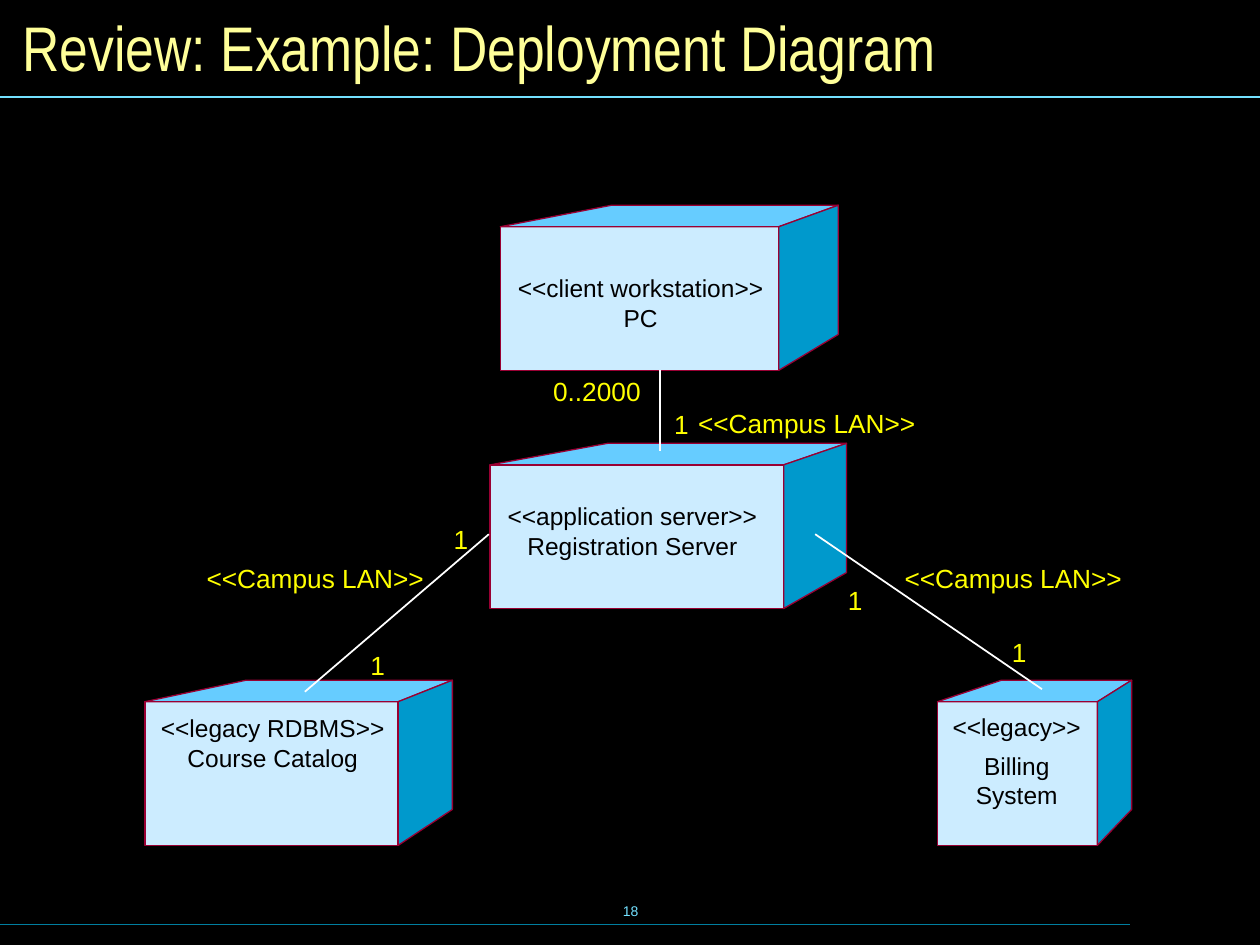
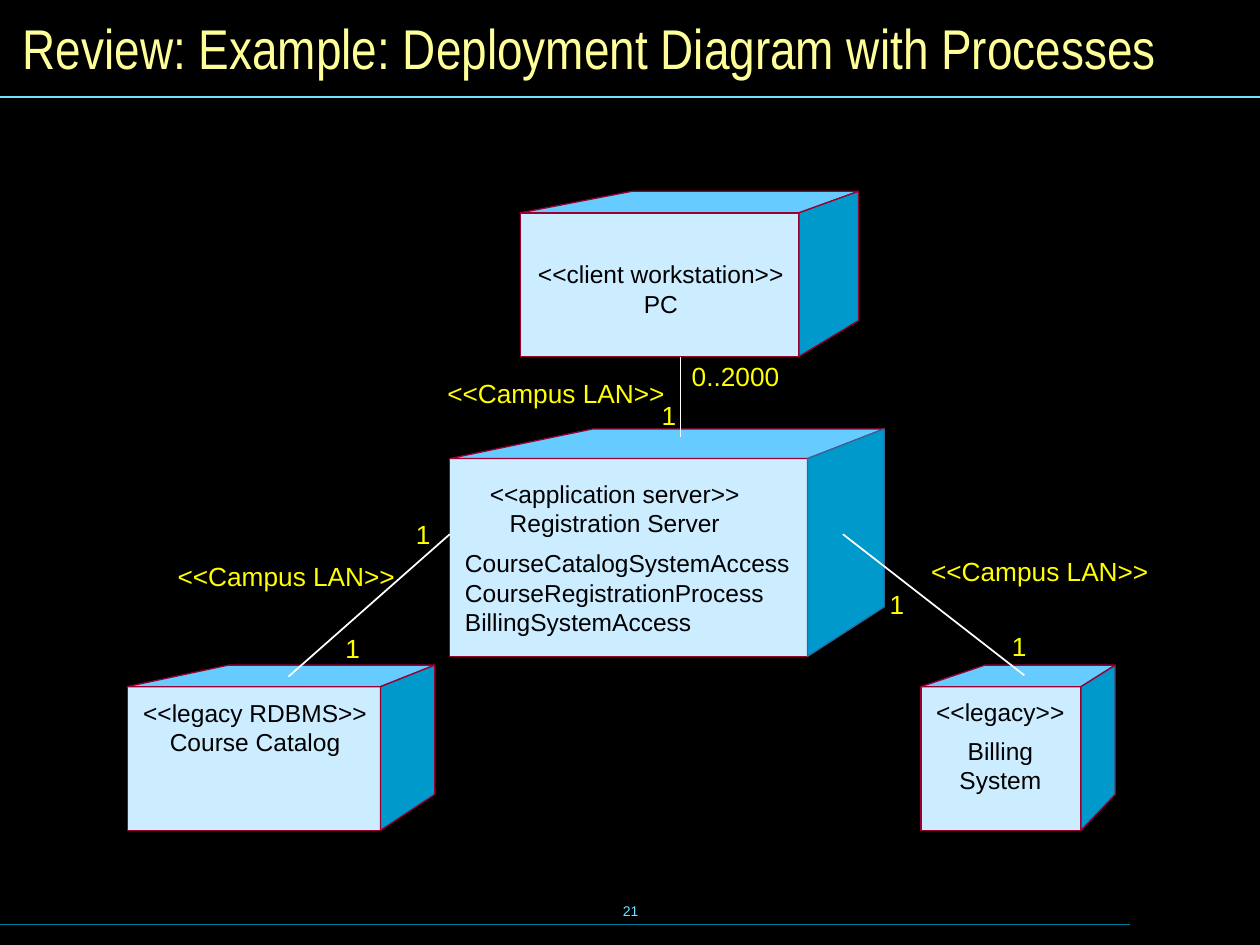
from lxml import etree
from pptx import Presentation
from pptx.dml.color import RGBColor
from pptx.enum import text
from pptx.enum.shapes import MSO_CONNECTOR, MSO_SHAPE
from pptx.oxml.ns import qn
from pptx.util import Inches, Pt

BLACK, WHITE = "000000", "FFFFFF"
TITLE, LABEL = "FFFF99", "FFFF00"
RULE, RULE_DARK = "73E1FF", "007E9F"
FRONT, TOP, SIDE = "CCECFF", "66CCFF", "0099CC"
EDGE, EDGE_BLUE = "990033", "336699"
LEFT, CENTER = text.PP_ALIGN.LEFT, text.PP_ALIGN.CENTER

# Cube depth as shares of the front's width and height
TOP_SHIFT, SIDE_SHIFT = 0.4, 0.214
TOP_RISE, SIDE_RISE = 0.15, 0.25

LAN = "<<Campus LAN>>"
RDBMS = ["<<legacy RDBMS>>", "Course Catalog"]
SERVER = ["<<application server>>", "Registration Server"]
CLIENT = ["<<client workstation>>", "PC"]
PROCESSES = ["CourseCatalogSystemAccess\nCourseRegistrationProcess\nBillingSystemAccess"]

# Captions: left and top within the cube's front, width, paragraphs, alignment
RDBMS_CAPTIONS = [(0.04, 0.09, 1.95, RDBMS, CENTER)]
CLIENT_CAPTIONS = [(0.06, 0.37, 2.11, CLIENT, CENTER)]
BILLING_CAPTIONS = [
    (0.12, 0.08, 1.15, ["<<legacy>>"], LEFT),
    (0.02, 0.39, 1.22, ["Billing\nSystem"], CENTER),
]

# Cubes: front box, captions, edge colour of the side face
# Labels: left, top, text. Links: from x, y, to x, y
DIAGRAMS = [
    {
        "title": "Review: Example: Deployment Diagram",
        "title_size": 36,
        "number": "18",
        "cubes": [
            ((1.15, 5.57, 2.01, 1.14), RDBMS_CAPTIONS, EDGE),
            ((3.89, 3.69, 2.33, 1.14), [(0.03, 0.29, 2.2, SERVER, CENTER)], EDGE),
            ((3.97, 1.8, 2.21, 1.14), CLIENT_CAPTIONS, EDGE),
            ((7.44, 5.57, 1.27, 1.14), BILLING_CAPTIONS, EDGE),
        ],
        "labels": [
            (5.54, 3.23, LAN), (7.18, 4.46, LAN), (1.64, 4.46, LAN),
            (4.39, 2.98, "0..2000"), (5.35, 3.24, "1"), (2.94, 5.15, "1"),
            (3.6, 4.15, "1"), (6.73, 4.64, "1"), (8.03, 5.05, "1"),
        ],
        "links": [
            (5.24, 2.94, 5.24, 3.58),
            (3.88, 4.24, 2.42, 5.49),
            (6.47, 4.24, 8.27, 5.47),
        ],
    },
    {
        "title": "Review: Example: Deployment Diagram with Processes",
        "title_size": 32,
        "number": "21",
        "cubes": [
            ((1.01, 5.45, 2.01, 1.14), RDBMS_CAPTIONS, EDGE),
            ((3.57, 3.64, 2.84, 1.57),
             [(0.21, 0.16, 2.2, SERVER, CENTER), (0.12, 0.71, 2.72, PROCESSES, LEFT)],
             EDGE_BLUE),
            ((4.13, 1.69, 2.21, 1.14), CLIENT_CAPTIONS, EDGE),
            ((7.31, 5.45, 1.27, 1.14), BILLING_CAPTIONS, EDGE),
        ],
        "labels": [
            (3.55, 2.99, LAN), (7.39, 4.41, LAN), (1.41, 4.45, LAN),
            (5.49, 2.86, "0..2000"), (5.25, 3.17, "1"), (2.74, 5.02, "1"),
            (3.3, 4.11, "1"), (7.06, 4.67, "1"), (8.03, 5, "1"),
        ],
        "links": [
            (5.4, 2.83, 5.4, 3.47),
            (3.57, 4.24, 2.29, 5.37),
            (6.69, 4.24, 8.13, 5.36),
        ],
    },
]


def rgb(color):
    return RGBColor.from_string(color)


def add_run(p, words, size, color, font="Arial"):
    r = p.add_run()
    r.text = words
    r.font.size, r.font.name = Pt(size), font
    r.font.color.rgb = rgb(color)


def add_text(shapes, box, paragraphs, size, color, align=LEFT, wrap=True,
             anchor=text.MSO_ANCHOR.TOP):
    """Add a text box without margins; a newline becomes a line break."""
    tf = shapes.add_textbox(*map(Inches, box)).text_frame
    tf.margin_left = tf.margin_top = tf.margin_right = tf.margin_bottom = 0
    tf.word_wrap, tf.vertical_anchor = wrap, anchor
    for i, words in enumerate(paragraphs):
        p = tf.add_paragraph() if i else tf.paragraphs[0]
        p.alignment = align
        for j, line in enumerate(words.split("\n")):
            if j:
                p.add_line_break()
            add_run(p, line, size, color)


def add_line(s, ends, color, width):
    line = s.shapes.add_connector(MSO_CONNECTOR.STRAIGHT, *map(Inches, ends))
    line.line.color.rgb, line.line.width = rgb(color), Pt(width)
    etree.SubElement(line._element.spPr, qn("a:effectLst"))


def paint(sp, fill, edge):
    sp.shadow.inherit = False
    sp.fill.solid()
    sp.fill.fore_color.rgb = rgb(fill)
    sp.line.color.rgb, sp.line.width = rgb(edge), 0


def add_face(shapes, points, fill, edge):
    start, *rest = [(Inches(x), Inches(y)) for x, y in points]
    builder = shapes.build_freeform(*start)
    builder.add_line_segments(rest, close=True)
    paint(builder.convert_to_shape(), fill, edge)


def add_cube(s, box, captions, side_edge):
    """Draw a deployment node whose front face fills the box."""
    x, y, w, h = box
    right, bottom = x + w, y + h
    back_left, back_right = x + TOP_SHIFT * w, right + SIDE_SHIFT * w
    back_top, back_bottom = y - TOP_RISE * h, bottom - SIDE_RISE * h
    shapes = s.shapes.add_group_shape().shapes
    paint(shapes.add_shape(MSO_SHAPE.RECTANGLE, *map(Inches, box)), FRONT, EDGE)
    add_face(shapes, [(x, y), (back_left, back_top), (back_right, back_top), (right, y)],
             TOP, EDGE)
    add_face(shapes, [(right, y), (back_right, back_top), (back_right, back_bottom),
                      (right, bottom)], SIDE, side_edge)
    for dx, dy, width, paragraphs, align in captions:
        lines = sum(len(words.split("\n")) for words in paragraphs)
        add_text(s.shapes, (x + dx, y + dy, width, 0.23 * lines), paragraphs, 14, BLACK, align)


def add_frame(s, title, size, number):
    """Set the title, both rules and the slide number."""
    sp = s.shapes.title
    sp.left, sp.top, sp.width, sp.height = map(Inches, (0.08, 0.08, 9.84, 0.58))
    tf = sp.text_frame
    tf.auto_size = text.MSO_AUTO_SIZE.NONE
    tf.vertical_anchor = text.MSO_ANCHOR.MIDDLE
    p = tf.paragraphs[0]
    p.alignment = LEFT
    add_run(p, title, size, TITLE, "Arial Narrow")
    add_line(s, (0, 0.77, 10, 0.77), RULE, 0.75)
    add_line(s, (0, 7.34, 8.97, 7.34), RULE_DARK, 0.75)
    add_text(s.shapes, (3.42, 6.98, 3.17, 0.5), [number], 8, RULE, CENTER,
             anchor=text.MSO_ANCHOR.MIDDLE)


def add_diagram_slide(prs, diagram):
    s = prs.slides.add_slide(prs.slide_layouts.get_by_name("Title Only"))
    add_frame(s, diagram["title"], diagram["title_size"], diagram["number"])
    for cube in diagram["cubes"]:
        add_cube(s, *cube)
    for x, y, words in diagram["labels"]:
        width = {"1": 0.12, "0..2000": 0.7}.get(words, 1.73)
        add_text(s.shapes, (x, y, width, 0.25), [words], 15, LABEL, wrap=False)
    for ends in diagram["links"]:
        add_line(s, ends, WHITE, 1)


def main():
    prs = Presentation()
    prs.slide_width, prs.slide_height = Inches(10), Inches(7.5)
    fill = prs.slide_master.background.fill
    fill.solid()
    fill.fore_color.rgb = rgb(BLACK)
    for diagram in DIAGRAMS:
        add_diagram_slide(prs, diagram)
    prs.save("out.pptx")


if __name__ == "__main__":
    main()
